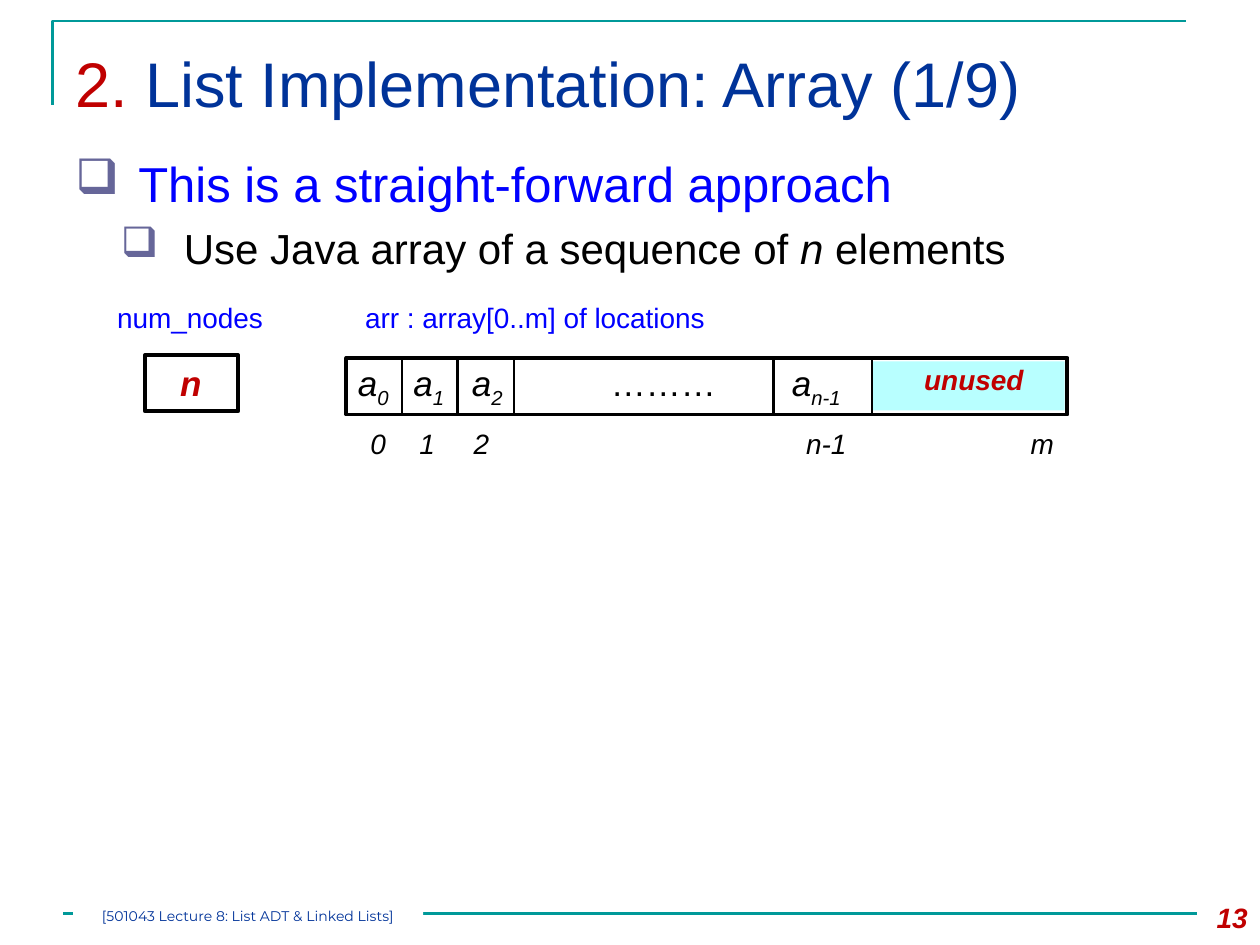
"""Build the lecture slide on implementing a list with an array."""
import pptx
import pptx.dml.color
import pptx.enum.shapes
import pptx.enum.text
import pptx.oxml.ns
import pptx.util
from lxml import etree

Pt = pptx.util.Pt
RGBColor = pptx.dml.color.RGBColor
ALIGN = pptx.enum.text.PP_ALIGN
ANCHOR = pptx.enum.text.MSO_ANCHOR

TEAL = RGBColor(0x00, 0x99, 0x99)
RED = RGBColor(0xC0, 0x00, 0x00)
NAVY = RGBColor(0x00, 0x33, 0x99)
BLUE = RGBColor(0x00, 0x00, 0xFF)
BLACK = RGBColor(0x00, 0x00, 0x00)
WHITE = RGBColor(0xFF, 0xFF, 0xFF)
CYAN = RGBColor(0xB8, 0xFF, 0xFF)
BULLET = "666699"

CELL_TOP, INDEX_TOP, HEADING_TOP = 203, 240, 168
DIVIDERS = (229.7, 261.4, 293.8, 442, 498.2)
CELLS = (("0", 192, 42.5), ("1", 226, 38), ("2", 262, 33), ("n-1", 444.2, 44.6))
INDEXES = (("0", 204.5, 23), ("1", 232.6, 23), ("2", 263.5, 23),
           ("n-1", 453.6, 37.4), ("m", 581.8, 28))


def style(para, size, color, bold=False, italic=False, name="Arial"):
    """Set the font of a whole paragraph."""
    font = para.font
    font.name, font.size, font.bold, font.italic = name, Pt(size), bold, italic
    font.color.rgb = color


def add_span(para, text):
    """Append a run of text and return it."""
    span = para.add_run()
    span.text = text
    return span


def add_text(parent, text, left, top, width, height, size, color,
             align=ALIGN.LEFT, wrap=False, bold=False, italic=False):
    """Add a one-paragraph text box and return its paragraph."""
    box = parent.shapes.add_textbox(Pt(left), Pt(top), Pt(width), Pt(height))
    box.text_frame.word_wrap = wrap
    para = box.text_frame.paragraphs[0]
    para.alignment = align
    style(para, size, color, bold, italic)
    if text:
        add_span(para, text)
    return para


def add_rectangle(parent, left, top, width, height, fill=None, line=None):
    """Add a rectangle with an optional fill and outline."""
    box = parent.shapes.add_shape(pptx.enum.shapes.MSO_SHAPE.RECTANGLE,
                                  Pt(left), Pt(top), Pt(width), Pt(height))
    box.shadow.inherit = False
    if fill is None:
        box.fill.background()
    else:
        box.fill.solid()
        box.fill.fore_color.rgb = fill
    if line is None:
        box.line.fill.background()
    else:
        box.line.color.rgb = line
        box.line.width = Pt(2.25)
    return box


def add_line(parent, x1, y1, x2, y2, color):
    """Add a straight line without a shadow."""
    line = parent.shapes.add_connector(pptx.enum.shapes.MSO_CONNECTOR.STRAIGHT,
                                       Pt(x1), Pt(y1), Pt(x2), Pt(y2))
    line.line.color.rgb = color
    line.line.width = Pt(1.5)
    etree.SubElement(line._element.spPr, pptx.oxml.ns.qn("a:effectLst"))


def add_bullet(para, left, hanging):
    """Give a paragraph a hanging square bullet."""
    props = para._p.get_or_add_pPr()
    props.set("marL", str(Pt(left)))
    props.set("indent", str(-Pt(hanging)))
    color = etree.SubElement(props, pptx.oxml.ns.qn("a:buClr"))
    etree.SubElement(color, pptx.oxml.ns.qn("a:srgbClr")).set("val", BULLET)
    etree.SubElement(props, pptx.oxml.ns.qn("a:buChar")).set("char", "❑")


def add_frame(page):
    """Draw the corner rule and the footer rule."""
    builder = page.shapes.build_freeform(Pt(30), Pt(60))
    builder.add_line_segments([(Pt(30), Pt(12)), (Pt(678), Pt(12))], close=False)
    corner = builder.convert_to_shape()
    corner.shadow.inherit = False
    corner.fill.background()
    corner.line.color.rgb = TEAL
    corner.line.width = Pt(1.5)
    add_line(page, 36, 522, 684, 522, TEAL)


def add_title(page):
    """Add the title with its red section number."""
    para = add_text(page, "", 36, 21.6, 648, 62, 36, NAVY, wrap=True)
    add_span(para, "2. ").font.color.rgb = RED
    add_span(para, "List Implementation: Array (1/9)")


def add_body(page):
    """Add the two bulleted statements."""
    box = page.shapes.add_textbox(Pt(36), Pt(84), Pt(648), Pt(84))
    box.text_frame.word_wrap = True
    first = box.text_frame.paragraphs[0]
    add_bullet(first, 36, 36)
    style(first, 28, BLUE)
    add_span(first, "This is a straight-forward approach")
    second = box.text_frame.add_paragraph()
    second.level = 1
    second.space_before = Pt(6)
    add_bullet(second, 62, 36)
    style(second, 24, BLACK)
    add_span(second, "Use Java array of a sequence of ")
    add_span(second, "n").font.italic = True
    add_span(second, " elements")


def add_counter(page):
    """Draw the node counter and its heading."""
    group = page.shapes.add_group_shape()
    add_rectangle(group, 82.8, CELL_TOP, 53.3, 32, line=BLACK)
    add_text(group, "n", 95.8, CELL_TOP, 26.6, 31, 20, RED, bold=True, italic=True)
    add_text(group, "num_nodes", 59.8, HEADING_TOP, 98.6, 26.6, 16, BLUE)


def add_array(page):
    """Draw the array with its cells, dividers and indexes."""
    group = page.shapes.add_group_shape()
    add_rectangle(group, 198, 204.5, 412, 32.4, line=BLACK)
    add_rectangle(group, 498.2, 206.6, 110.2, 28, fill=CYAN)
    for x in DIVIDERS:
        add_line(group, x, 205.7, x, 236, BLACK)
    for subscript, left, width in CELLS:
        para = add_text(group, "a", left, CELL_TOP, width, 31.5, 20, BLACK,
                        ALIGN.CENTER, italic=True)
        add_span(para, subscript)._r.get_or_add_rPr().set("baseline", "-25000")
    add_text(group, "………", 342, CELL_TOP, 75, 31.5, 20, BLACK)
    add_text(group, "unused", 516.2, 203.8, 80.6, 26.6, 16, RED,
             ALIGN.CENTER, True, bold=True, italic=True)
    add_text(group, "arr : array[0..m] of locations", 201.6, HEADING_TOP,
             249, 26.6, 16, BLUE, wrap=True)
    for index, left, width in INDEXES:
        add_text(group, index, left, INDEX_TOP, width, 26.6, 16, BLACK, italic=True)


def add_footer(page):
    """Add the lecture label and the page number."""
    label = add_rectangle(page, 41.8, 516.2, 200, 14.4, fill=WHITE)
    frame = label.text_frame
    frame.margin_left = frame.margin_right = frame.margin_top = frame.margin_bottom = 0
    frame.vertical_anchor = ANCHOR.MIDDLE
    frame.word_wrap = True
    para = frame.paragraphs[0]
    para.alignment = ALIGN.CENTER
    style(para, 8, NAVY, name="Montserrat")
    add_span(para, "[501043 Lecture 8: List ADT & Linked Lists]")
    add_text(page, "13", 671.8, 511.2, 48.2, 28.8, 16, RED, ALIGN.RIGHT, True,
             bold=True, italic=True)


def main():
    """Build the slide and save the deck."""
    deck = pptx.Presentation()
    deck.slide_width, deck.slide_height = Pt(720), Pt(540)
    page = deck.slides.add_slide(deck.slide_layouts[6])
    add_frame(page)
    add_title(page)
    add_body(page)
    add_counter(page)
    add_array(page)
    add_footer(page)
    deck.save("out.pptx")


if __name__ == "__main__":
    main()
